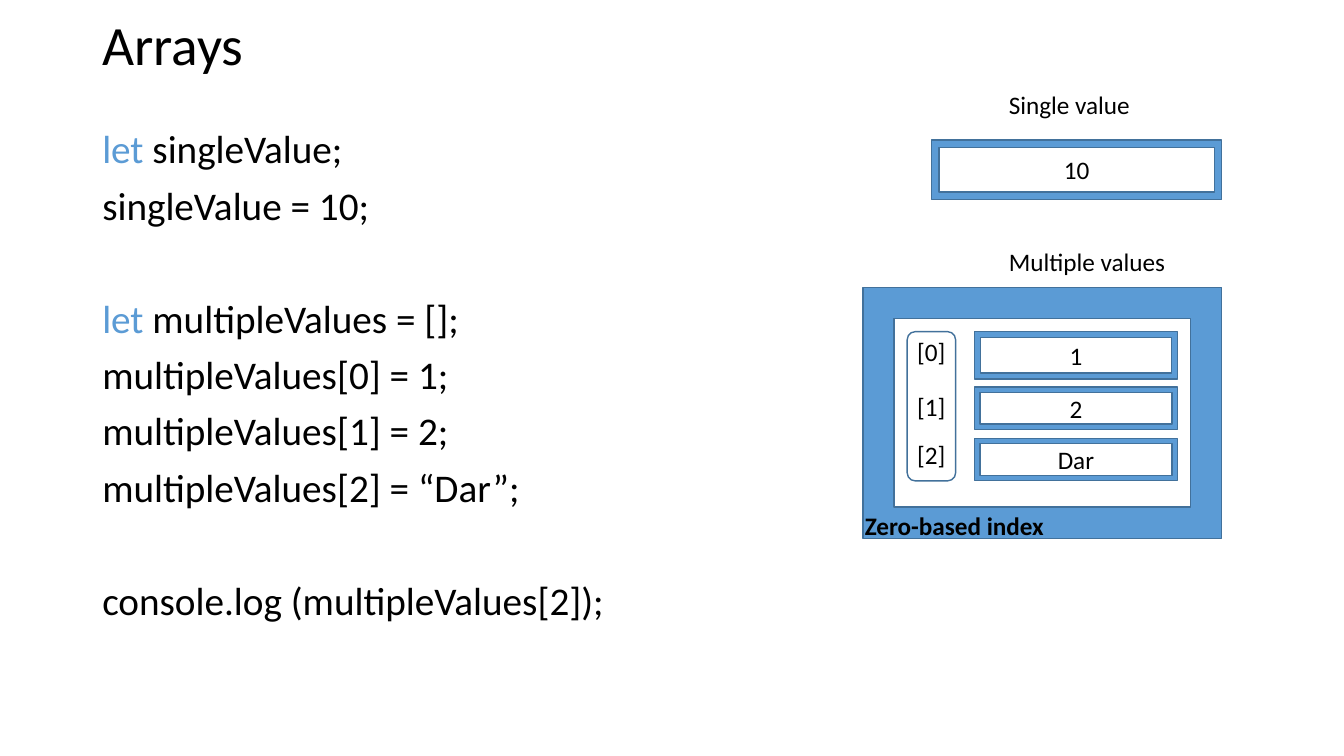
import pptx
import pptx.util
import pptx.dml.color
import pptx.enum.shapes
import pptx.enum.text

Pt = pptx.util.Pt
RGBColor = pptx.dml.color.RGBColor
MSO_SHAPE = pptx.enum.shapes.MSO_SHAPE
MSO_ANCHOR = pptx.enum.text.MSO_ANCHOR
PP_ALIGN = pptx.enum.text.PP_ALIGN

BLACK = RGBColor(0x00, 0x00, 0x00)
BLUE = RGBColor(0x5B, 0x9B, 0xD5)
DARK_BLUE = RGBColor(0x42, 0x71, 0x9B)

FONT = "Calibri"
LINE_GAP = 10
BLOCK_GAP = 50.5  # one line left free between code blocks

# Each block is a list of lines: (keyword, rest of the line)
CODE_BLOCKS = [
    [("let ", "singleValue;"), ("", "singleValue = 10;")],
    [
        ("let ", "multipleValues = [];"),
        ("", "multipleValues[0] = 1;"),
        ("", "multipleValues[1] = 2;"),
        ("", "multipleValues[2] = “Dar”;"),
    ],
    [("", "console.log (multipleValues[2]);")],
]

# Array elements: value, frame top, frame height, index top
ELEMENTS = [
    ("1", 236.9, 33.8, 236.9),
    ("2", 276.5, 30.2, 275.8),
    ("Dar", 313.2, 30.2, 310.3),
]


def set_font(font, size, color=BLACK, bold=False):
    font.name = FONT
    font.size = Pt(size)
    font.color.rgb = color
    font.bold = bold


def add_text_box(slide, left, top, width, height, wrap=False):
    box = slide.shapes.add_textbox(Pt(left), Pt(top), Pt(width), Pt(height))
    box.text_frame.word_wrap = wrap
    return box.text_frame


def add_label(slide, text, left, top, width, bold=False):
    label = add_text_box(slide, left, top, width, 29)
    label.text = text
    set_font(label.paragraphs[0].font, 18, bold=bold)


def add_outlined(slide, preset, left, top, width, height):
    shape = slide.shapes.add_shape(preset, Pt(left), Pt(top), Pt(width), Pt(height))
    shape.shadow.inherit = False
    shape.fill.background()
    shape.line.color.rgb = DARK_BLUE
    shape.line.width = Pt(1)
    return shape


def add_frame(slide, left, top, width, height, value=""):
    frame = add_outlined(slide, MSO_SHAPE.FRAME, left, top, width, height)
    frame.adjustments[0] = 0.125
    frame.fill.solid()
    frame.fill.fore_color.rgb = BLUE
    if value:
        frame.text_frame.text = value
        frame.text_frame.vertical_anchor = MSO_ANCHOR.MIDDLE
        paragraph = frame.text_frame.paragraphs[0]
        paragraph.alignment = PP_ALIGN.CENTER
        set_font(paragraph.font, 18)


def add_title(slide, text):
    title = add_text_box(slide, 66, 14.4, 828, 38.9, wrap=True)
    title.vertical_anchor = MSO_ANCHOR.MIDDLE
    title.text = text
    title.paragraphs[0].line_spacing = 0.9
    set_font(title.paragraphs[0].font, 39.6)


def add_code(slide, blocks):
    code = add_text_box(slide, 66, 89.3, 828, 396.7, wrap=True)
    paragraph = code.paragraphs[0]
    for block_number, block in enumerate(blocks):
        for line_number, (keyword, rest) in enumerate(block):
            if block_number or line_number:
                paragraph = code.add_paragraph()
                paragraph.space_before = Pt(LINE_GAP if line_number else BLOCK_GAP)
            paragraph.line_spacing = 0.9
            set_font(paragraph.font, 28)
            if keyword:
                keyword_run = paragraph.add_run()
                keyword_run.text = keyword
                keyword_run.font.color.rgb = BLUE
            paragraph.add_run().text = rest


def main():
    deck = pptx.Presentation()
    deck.slide_width = Pt(960)
    deck.slide_height = Pt(540)
    slide = deck.slides.add_slide(deck.slide_layouts[6])

    # Title and code
    add_title(slide, "Arrays")
    add_code(slide, CODE_BLOCKS)

    # Single value
    add_label(slide, "Single value", 713.5, 60.5, 102)
    add_frame(slide, 665.3, 100.1, 207.4, 42.5, "10")

    # Multiple values: outer frame, index column, elements
    add_label(slide, "Multiple values", 713.5, 172.1, 127.5)
    add_frame(slide, 616.3, 205.2, 256.4, 179.3)
    add_outlined(slide, MSO_SHAPE.FLOWCHART_ALTERNATE_PROCESS, 648, 236.9, 34.6, 106.6)
    for index, (value, top, height, index_top) in enumerate(ELEMENTS):
        add_frame(slide, 696.2, top, 144.7, height, value)
        add_label(slide, f"[{index}]", 648, index_top, 34.6)
    add_label(slide, "Zero-based index", 610.6, 360.7, 143.3, bold=True)

    deck.save("out.pptx")


main()
